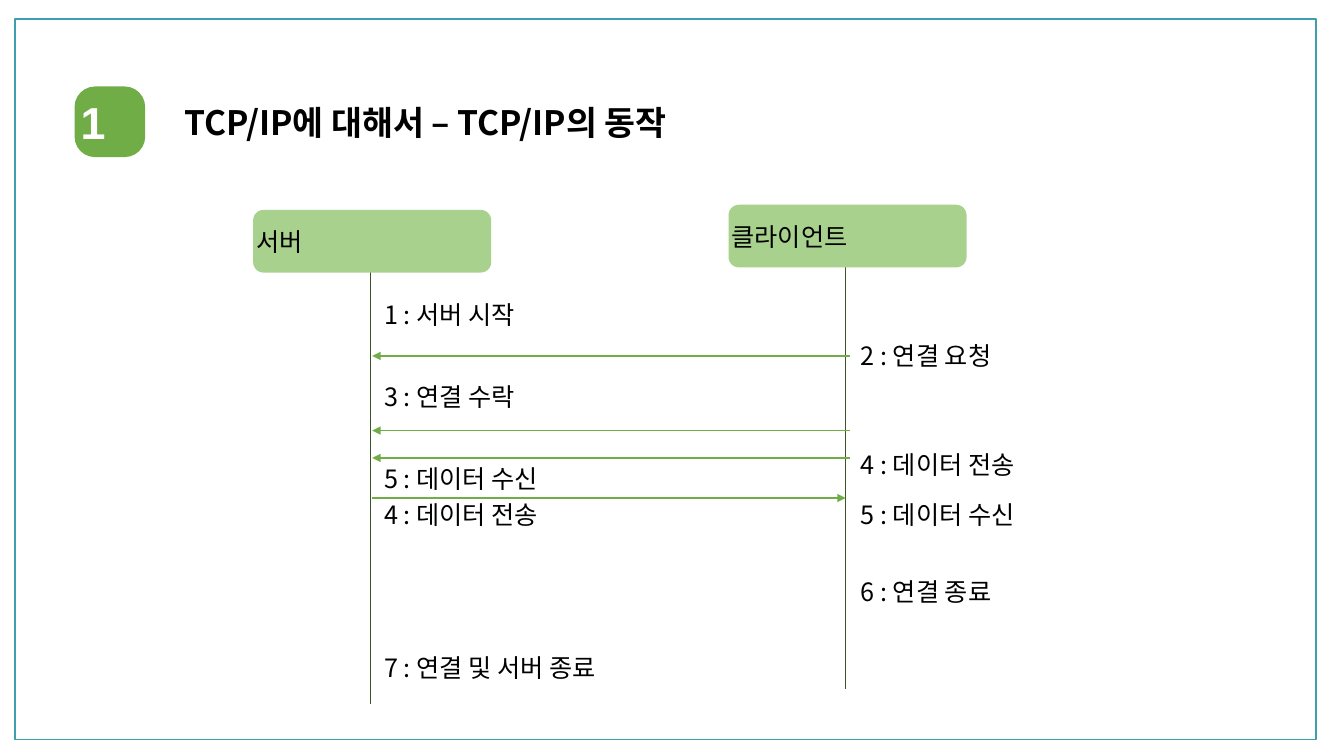
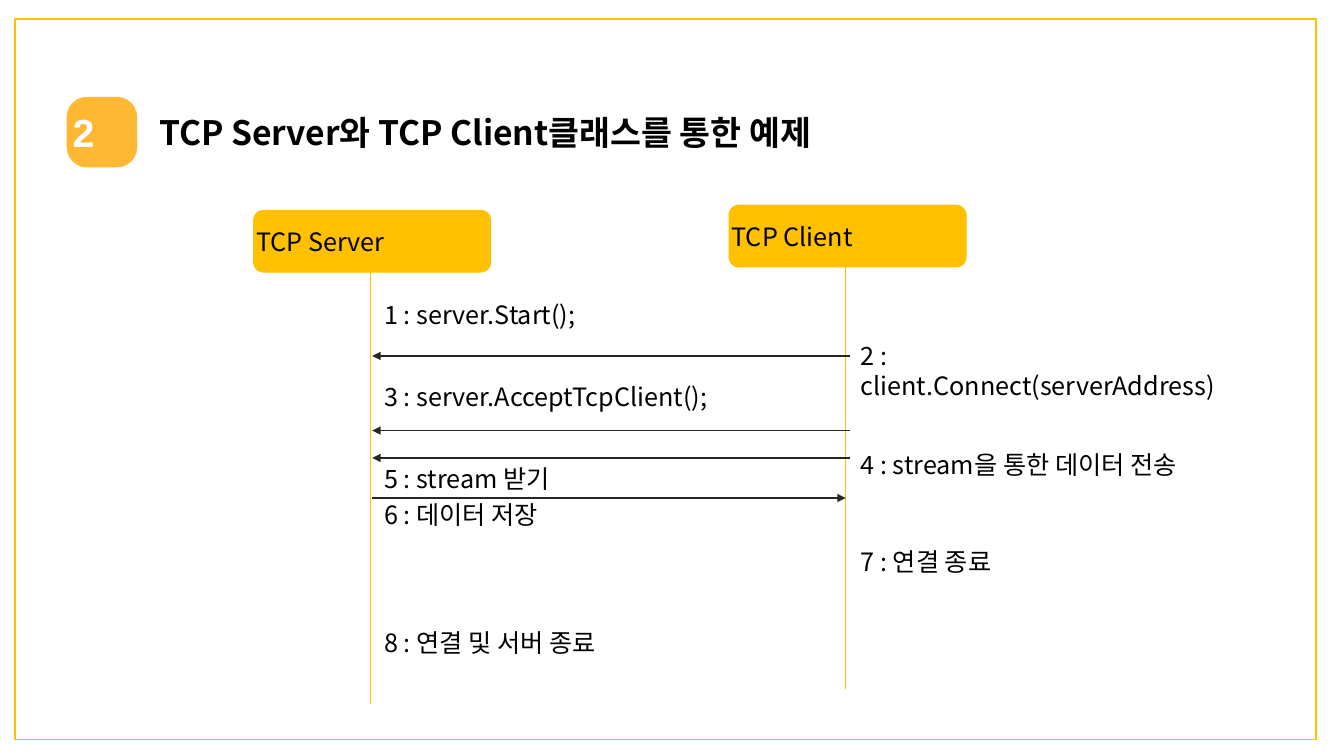
import dataclasses

import lxml.etree
import pptx
import pptx.dml.color
import pptx.enum.shapes
import pptx.enum.text
import pptx.oxml.ns
import pptx.util

Cm = pptx.util.Cm
Pt = pptx.util.Pt
qn = pptx.oxml.ns.qn
SHAPES = pptx.enum.shapes.MSO_SHAPE


@dataclasses.dataclass(frozen=True)
class Palette:
    """Colours that change from section to section."""
    frame: str
    badge: str
    actor: str
    lifeline: str
    arrow: str


@dataclasses.dataclass(frozen=True)
class Theme:
    """Colours, fonts and sizes of the presentation."""
    green: Palette = Palette("3D9FAC", "70AD47", "A9D18E", "385723", "70AD47")
    amber: Palette = Palette("FFC000", "FEB834", "FFC000", "FFC000", "262626")
    text: str = "000000"
    badge_text: str = "FFFFFF"
    body_font: str = "Noto Sans CJK KR"
    badge_font: str = "Arial"
    title_size: int = 24
    body_size: int = 18
    frame_line: float = 1
    lifeline_line: float = 0.5
    arrow_line: float = 1


THEME = Theme()
FRAME_BOX = (0.38, 0.48, 32.79, 18.16)
DIAGRAM_BOX = (6.38, 5.16, 17.98, 12.59)
ACTOR_SIZE = (6, 1.58)
SERVER_DROP = 0.13
LIFELINE_OFFSET = 2.95
CLIENT_LIFELINE_END = 12.21
BADGE_SIZE = 1.78
TEXT_HEIGHT = 1.02
SERVER_TEXT_GAP = 0.1
CLIENT_TEXT_GAP = 0.13
ARROWS = [(3.81, "server"), (5.69, "server"), (6.38, "server"), (7.39, "client")]

SECTIONS = [
    {
        "palette": THEME.green,
        "number": "1",
        "number_size": 32,
        "badge_at": (1.88, 2.18),
        "title": "TCP/IP에 대해서 – TCP/IP의 동작",
        "title_box": (4.39, 2.44, 15.39, 1.27),
        "actors": ("서버", "클라이언트"),
        "messages": [
            ("server", 2.26, 4.47, "1 : 서버 시작"),
            ("client", 3.28, 4.47, "2 : 연결 요청"),
            ("server", 4.32, 4.47, "3 : 연결 수락"),
            ("client", 6.05, 5.84, "4 : 데이터 전송"),
            ("server", 6.38, 5.84, "5 : 데이터 수신"),
            ("server", 7.29, 5.84, "4 : 데이터 전송"),
            ("client", 7.29, 5.84, "5 : 데이터 수신"),
            ("client", 9.25, 5.84, "6 : 연결 종료"),
            ("server", 11.15, 8.76, "7 : 연결 및 서버 종료"),
        ],
    },
    {
        "palette": THEME.amber,
        "number": "2",
        "number_size": 28,
        "badge_at": (1.68, 2.44),
        "title": "TCP Server와 TCP Client클래스를 통한 예제",
        "title_box": (3.76, 2.69, 22.3, 1.27),
        "actors": ("TCP Server", "TCP Client"),
        "messages": [
            ("server", 2.26, 8.1, "1 : server.Start();"),
            ("client", 3.28, 10.06, "2 : client.Connect(serverAddress)"),
            ("server", 4.32, 9.78, "3 : server.AcceptTcpClient();"),
            ("client", 6.05, 11.79, "4 : stream을 통한 데이터 전송"),
            ("server", 6.38, 5.84, "5 : stream 받기"),
            ("server", 7.29, 5.84, "6 : 데이터 저장"),
            ("client", 8.48, 5.84, "7 : 연결 종료"),
            ("server", 10.52, 8.76, "8 : 연결 및 서버 종료"),
        ],
    },
]


def rgb(value):
    """Turn a hexadecimal string into a colour."""
    return pptx.dml.color.RGBColor.from_string(value)


def write(shape, text, size, color=THEME.text, font=THEME.body_font, bold=False):
    """Set the text of a shape and format its only run."""
    shape.text_frame.text = text
    run_font = shape.text_frame.paragraphs[0].runs[0].font
    run_font.size = Pt(size)
    run_font.bold = bold
    run_font.name = font
    run_font.color.rgb = rgb(color)
    for properties in shape.element.iter(qn("a:rPr")):
        lxml.etree.SubElement(properties, qn("a:ea"), typeface=font)


def add_text(slide, box, text, size, bold=False):
    """Add a wrapping text box that grows with its text."""
    shape = slide.shapes.add_textbox(*map(Cm, box))
    shape.text_frame.word_wrap = True
    shape.text_frame.auto_size = pptx.enum.text.MSO_AUTO_SIZE.SHAPE_TO_FIT_TEXT
    write(shape, text, size, bold=bold)


def add_panel(slide, box, fill):
    """Add a rounded panel with centred text and no outline."""
    shape = slide.shapes.add_shape(SHAPES.ROUNDED_RECTANGLE, *map(Cm, box))
    shape.shadow.inherit = False
    shape.fill.solid()
    shape.fill.fore_color.rgb = rgb(fill)
    shape.line.fill.background()
    frame = shape.text_frame
    frame.margin_left = frame.margin_right = 0
    frame.vertical_anchor = pptx.enum.text.MSO_ANCHOR.MIDDLE
    frame.paragraphs[0].alignment = pptx.enum.text.PP_ALIGN.CENTER
    return shape


def add_line(slide, start, end, color, width, arrow=False):
    """Add a straight line, with an arrowhead at its end if wanted."""
    connector = slide.shapes.add_connector(
        pptx.enum.shapes.MSO_CONNECTOR.STRAIGHT, *map(Cm, (*start, *end)))
    connector.line.color.rgb = rgb(color)
    connector.line.width = Pt(width)
    properties = connector.element.spPr
    if arrow:
        lxml.etree.SubElement(properties.find(qn("a:ln")), qn("a:tailEnd"), type="triangle")
    lxml.etree.SubElement(properties, qn("a:effectLst"))


def add_frame(slide, box, palette):
    """Outline the slide area."""
    shape = slide.shapes.add_shape(SHAPES.RECTANGLE, *map(Cm, box))
    shape.shadow.inherit = False
    shape.fill.background()
    shape.line.color.rgb = rgb(palette.frame)
    shape.line.width = Pt(THEME.frame_line)


def add_heading(slide, section):
    """Add the numbered badge and the title."""
    add_text(slide, section["title_box"], section["title"], THEME.title_size, bold=True)
    box = (*section["badge_at"], BADGE_SIZE, BADGE_SIZE)
    badge = add_panel(slide, box, section["palette"].badge)
    badge.adjustments[0] = 0.29
    write(badge, section["number"], section["number_size"],
          THEME.badge_text, THEME.badge_font, bold=True)


def add_sequence(slide, box, section):
    """Draw the actors, their lifelines, the messages and the arrows."""
    left, top, width, height = box
    palette = section["palette"]
    actor_width, actor_height = ACTOR_SIZE
    client_left = left + width - actor_width
    server_x, client_x = left + LIFELINE_OFFSET, client_left + LIFELINE_OFFSET
    columns = [(left, top + SERVER_DROP, server_x, top + height),
               (client_left, top, client_x, top + CLIENT_LIFELINE_END)]
    for name, (actor_left, actor_top, line_x, line_end) in zip(section["actors"], columns):
        add_line(slide, (line_x, actor_top + actor_height / 2), (line_x, line_end),
                 palette.lifeline, THEME.lifeline_line)
        actor = add_panel(slide, (actor_left, actor_top, *ACTOR_SIZE), palette.actor)
        write(actor, name, THEME.body_size)

    text_left = {"server": server_x + SERVER_TEXT_GAP, "client": client_x + CLIENT_TEXT_GAP}
    for side, offset, text_width, text in section["messages"]:
        add_text(slide, (text_left[side], top + offset, text_width, TEXT_HEIGHT),
                 text, THEME.body_size)

    ends = {"server": (client_x + 0.1, server_x + 0.05),
            "client": (server_x + 0.05, client_x)}
    for offset, target in ARROWS:
        start_x, end_x = ends[target]
        add_line(slide, (start_x, top + offset), (end_x, top + offset),
                 palette.arrow, THEME.arrow_line, arrow=True)


def build_slide(presentation, section):
    """Add one sequence diagram slide."""
    slide = presentation.slides.add_slide(presentation.slide_layouts[6])
    add_frame(slide, FRAME_BOX, section["palette"])
    add_heading(slide, section)
    add_sequence(slide, DIAGRAM_BOX, section)


def main():
    """Build and save the presentation."""
    presentation = pptx.Presentation()
    presentation.slide_width = Cm(33.87)
    presentation.slide_height = Cm(19.05)
    for section in SECTIONS:
        build_slide(presentation, section)
    presentation.save("out.pptx")


if __name__ == "__main__":
    main()
